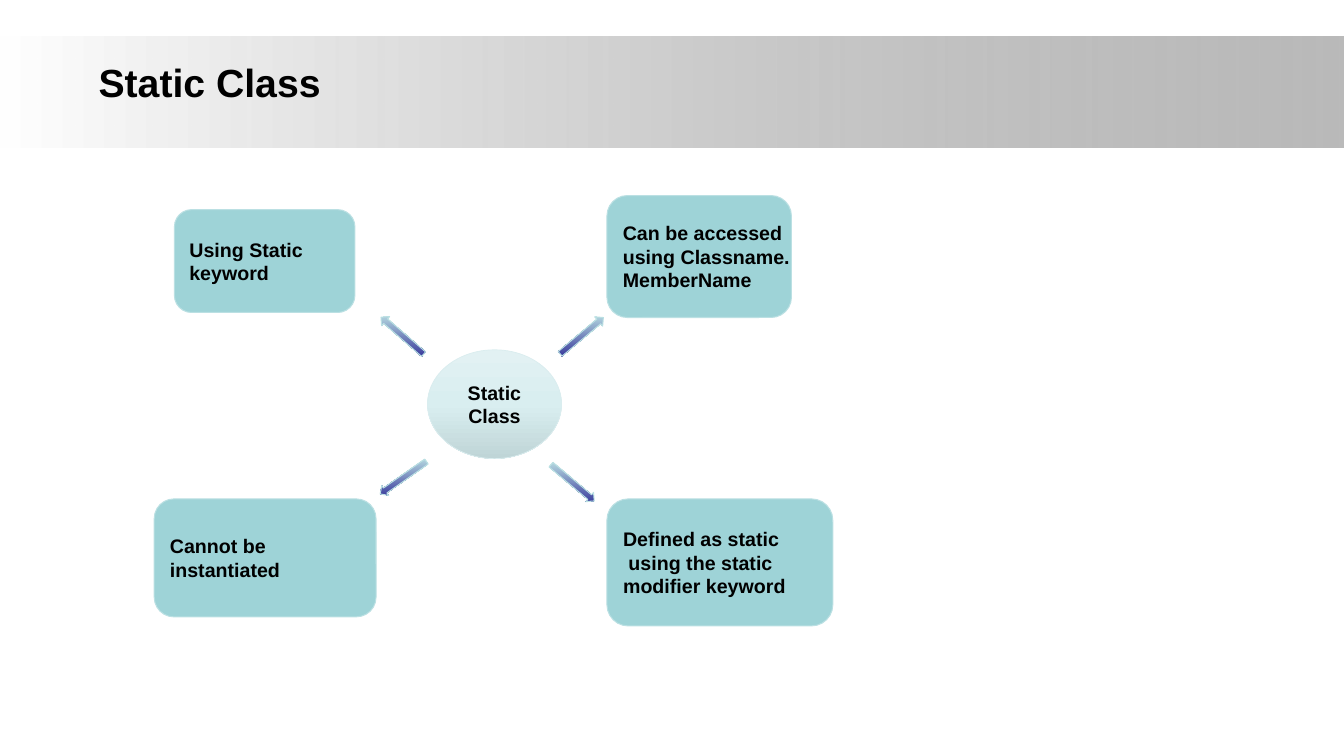
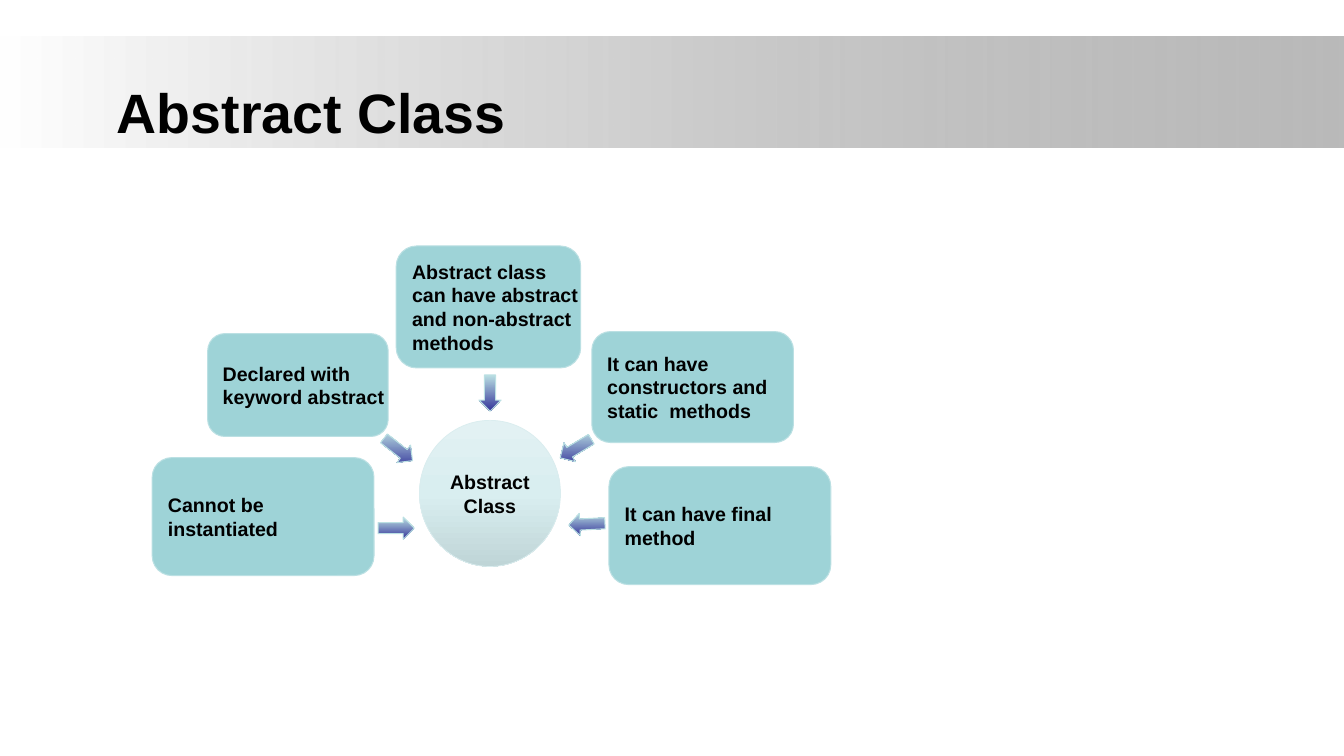
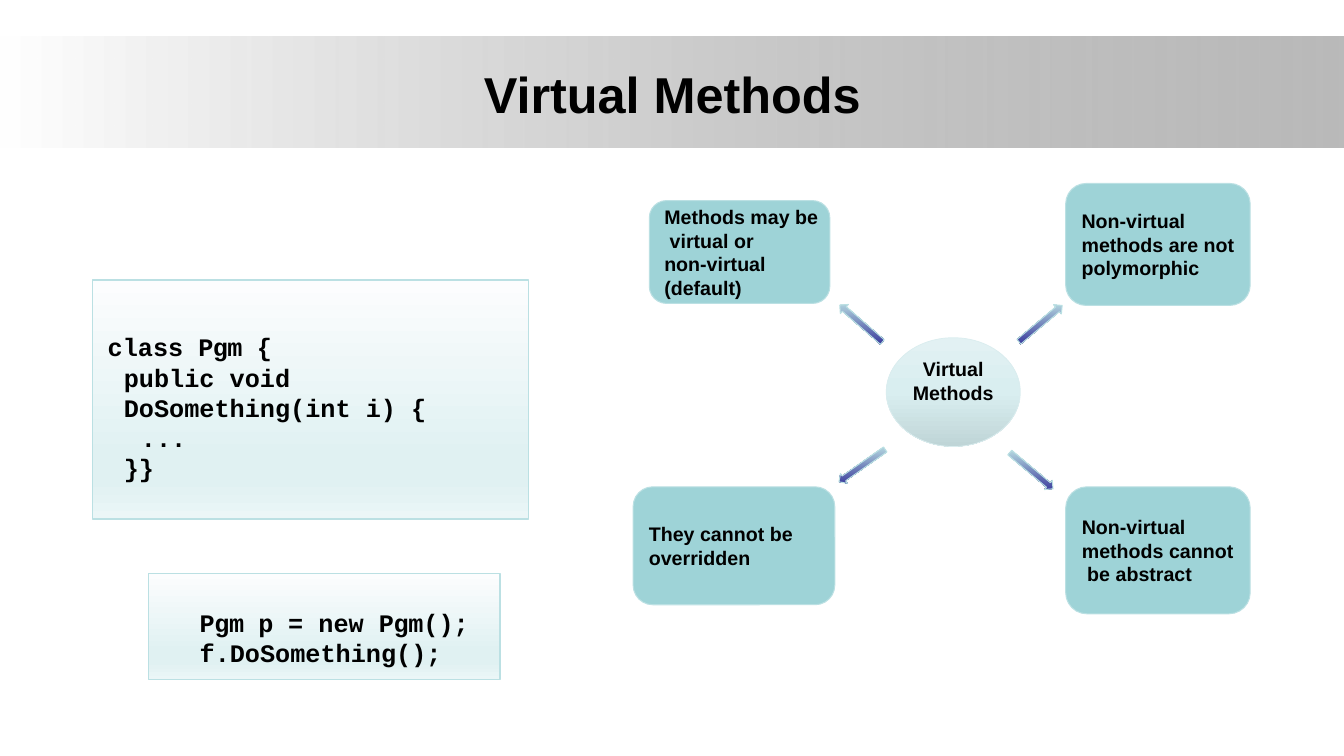
from typing import NamedTuple

from lxml.etree import SubElement
from pptx import Presentation
from pptx.dml.color import RGBColor
from pptx.enum.shapes import MSO_SHAPE
from pptx.enum.text import MSO_ANCHOR, PP_ALIGN
from pptx.oxml.ns import qn
from pptx.util import Inches, Pt

# Colours, gradients and text formats
BLACK = RGBColor(0x00, 0x00, 0x00)
WHITE = RGBColor(0xFF, 0xFF, 0xFF)
GREY = RGBColor(0x80, 0x80, 0x80)
TEAL = RGBColor(0x9E, 0xD3, 0xD7)
PALE_TEAL = RGBColor(0xBB, 0xE0, 0xE3)
INDIGO = RGBColor(0x33, 0x33, 0x99)
HUB_LINE = RGBColor(0xDA, 0xED, 0xEF)
CODE_MIST = RGBColor(0xE0, 0xF1, 0xF2)

# Gradient stops: position %, colour, opacity %
BAND_STOPS = [(0, WHITE, 100), (100, GREY, 54)]
ARROW_STOPS = [(0, PALE_TEAL, 100), (100, INDIGO, 100)]
HUB_STOPS = [(0, RGBColor(0xE2, 0xF1, 0xF3), 100),
             (50, RGBColor(0xD9, 0xEE, 0xF0), 100),
             (100, RGBColor(0xBF, 0xD5, 0xD7), 100)]
CODE_STOPS = [(0, RGBColor(0xFC, 0xFD, 0xFE), 100), (74, CODE_MIST, 100),
              (83, CODE_MIST, 100), (100, RGBColor(0xEB, 0xF6, 0xF7), 100)]

LABEL_FONT = {"name": "Arial", "size": Pt(14), "bold": True}
CODE_FONT = {"name": "Courier New", "size": Pt(18), "bold": True}


class Box(NamedTuple):
    x: float
    y: float
    w: float
    h: float


class Title(NamedTuple):
    text: str
    box: Box
    size: float
    align: PP_ALIGN = PP_ALIGN.CENTER
    spacing: float = 1.0


class Card(NamedTuple):
    box: Box
    lines: list[str]


class Hub(NamedTuple):
    box: Box
    lines: list[str]
    bottom_inset: float = 0.05


class Arrow(NamedTuple):
    x: float
    y: float
    angle: float


class CodeLine(NamedTuple):
    indent: float
    runs: list[tuple[str, int]]  # text, letter spacing in 1/100 pt


# Four thin arrows around a hub, offset from its top-left corner
STAR_ARROWS = [Arrow(-0.3, 0.99, 55), Arrow(1.47, -0.42, 230),
               Arrow(1.38, 1.04, 310), Arrow(-0.31, -0.42, 131)]
INWARD_ARROWS = [Arrow(3.75, 5.13, 0), Arrow(5.64, 5.09, 177),
                 Arrow(3.77, 4.35, 38), Arrow(5.53, 4.34, 149),
                 Arrow(4.68, 3.79, 90)]


# Drawing helpers
def set_gradient(sp, stops: list, angle: int = 90) -> None:
    """Fill with a gradient that keeps its direction when the shape turns."""
    sp.fill.gradient()
    grad = sp._element.spPr.find(qn("a:gradFill"))
    for child in list(grad):
        grad.remove(child)
    grad.set("rotWithShape", "0")
    gs_list = SubElement(grad, qn("a:gsLst"))
    for pos, color, opacity in stops:
        gs = SubElement(gs_list, qn("a:gs"), pos=str(pos * 1000))
        clr = SubElement(gs, qn("a:srgbClr"), val=str(color))
        if opacity < 100:
            SubElement(clr, qn("a:alpha"), val=str(opacity * 1000))
    SubElement(grad, qn("a:lin"), ang=str(angle * 60000), scaled="0")


def add_shape(s, kind: MSO_SHAPE, box: Box, line: RGBColor | None = None,
              width: float = 0.75):
    sp = s.shapes.add_shape(kind, *map(Inches, box))
    sp.shadow.inherit = False
    if line is None:
        sp.line.fill.background()
    else:
        sp.line.color.rgb = line
        sp.line.width = Pt(width)
    return sp


def add_run(p, text: str, font: dict):
    r = p.add_run()
    r.text = text
    r.font.color.rgb = BLACK
    for name, value in font.items():
        setattr(r.font, name, value)
    return r


def add_paragraph(tf, first: bool, align: PP_ALIGN = PP_ALIGN.LEFT):
    p = tf.paragraphs[0] if first else tf.add_paragraph()
    p.alignment = align
    return p


def write_label(tf, lines: list[str], align: PP_ALIGN) -> None:
    tf.word_wrap = False
    tf.vertical_anchor = MSO_ANCHOR.MIDDLE
    for i, text in enumerate(lines):
        add_run(add_paragraph(tf, i == 0, align), text, LABEL_FONT)


# Slide parts
def add_title_slide(prs, title: Title):
    s = prs.slides.add_slide(prs.slide_layouts[6])
    band = add_shape(s, MSO_SHAPE.RECTANGLE, Box(0, 0.36, 13.33, 1.1))
    set_gradient(band, BAND_STOPS, angle=0)
    tf = s.shapes.add_textbox(*map(Inches, title.box)).text_frame
    tf.word_wrap = True
    tf.vertical_anchor = MSO_ANCHOR.MIDDLE
    p = add_paragraph(tf, True, title.align)
    p.line_spacing = title.spacing
    add_run(p, title.text, {"name": "Arial", "size": Pt(title.size), "bold": True})
    return s


def add_cards(s, cards: list[Card]) -> None:
    for card in cards:
        sp = add_shape(s, MSO_SHAPE.ROUNDED_RECTANGLE, card.box, PALE_TEAL)
        sp.fill.solid()
        sp.fill.fore_color.rgb = TEAL
        write_label(sp.text_frame, card.lines, PP_ALIGN.LEFT)


def add_hub(s, hub: Hub) -> None:
    sp = add_shape(s, MSO_SHAPE.OVAL, hub.box, HUB_LINE, 0.5)
    set_gradient(sp, HUB_STOPS)
    write_label(sp.text_frame, hub.lines, PP_ALIGN.CENTER)
    sp.text_frame.margin_bottom = Inches(hub.bottom_inset)


def add_arrow(s, kind: MSO_SHAPE, box: Box, angle: float) -> None:
    sp = add_shape(s, kind, box, PALE_TEAL)
    sp.rotation = angle
    set_gradient(sp, ARROW_STOPS)


def add_star(s, hub: Hub, cards: list[Card]) -> None:
    add_cards(s, cards)
    add_hub(s, hub)
    for a in STAR_ARROWS:
        box = Box(hub.box.x + a.x, hub.box.y + a.y, 0.12, 0.56)
        add_arrow(s, MSO_SHAPE.DOWN_ARROW, box, a.angle)


def add_code(s, box: Box, lines: list[CodeLine], top: float, left: float,
             right: float) -> None:
    sp = add_shape(s, MSO_SHAPE.RECTANGLE, box, PALE_TEAL, 1)
    set_gradient(sp, CODE_STOPS)
    tf = sp.text_frame
    tf.word_wrap = True
    tf.vertical_anchor = MSO_ANCHOR.TOP
    tf.margin_top, tf.margin_left, tf.margin_right = map(Inches, (top, left, right))
    for i, line in enumerate(lines):
        p = add_paragraph(tf, i == 0)
        p._p.get_or_add_pPr().set("marL", str(Inches(line.indent)))
        for text, spc in line.runs:
            r = add_run(p, text, CODE_FONT)
            r._r.get_or_add_rPr().set("spc", str(spc))


# Slides
def static_class(prs) -> None:
    s = add_title_slide(prs, Title("Static Class", Box(0.88, 0.46, 2.66, 0.76), 28,
                                   PP_ALIGN.LEFT, 0.9))
    add_star(s, Hub(Box(4.24, 3.47, 1.33, 1.08), ["Static", "Class"]), [
        Card(Box(1.73, 2.08, 1.79, 1.02), ["Using Static", "keyword"]),
        Card(Box(6.02, 1.94, 1.83, 1.21),
             ["Can be accessed", "using Classname.", "MemberName"]),
        Card(Box(6.02, 4.95, 2.24, 1.26),
             ["Defined as static", " using the static", "modifier keyword"]),
        Card(Box(1.53, 4.95, 2.2, 1.17), ["Cannot be", "instantiated"]),
    ])


def abstract_class(prs) -> None:
    s = add_title_slide(prs, Title("Abstract Class", Box(0.88, 0.69, 4.41, 0.82), 39.6))
    add_cards(s, [
        Card(Box(2.06, 3.31, 1.79, 1.02), ["Declared with", "keyword abstract"]),
        Card(Box(3.93, 2.44, 1.83, 1.21),
             ["Abstract class", "can have abstract", "and non-abstract", "methods"]),
        Card(Box(5.87, 3.29, 2, 1.1),
             ["It can have", "constructors and", "static  methods"]),
        Card(Box(1.51, 4.54, 2.2, 1.17), ["Cannot be", "instantiated"]),
        Card(Box(6.04, 4.63, 2.2, 1.17), ["It can have final", "method"]),
    ])
    add_hub(s, Hub(Box(4.16, 4.17, 1.4, 1.45), ["Abstract", "Class"]))
    for a in INWARD_ARROWS:
        add_arrow(s, MSO_SHAPE.RIGHT_ARROW, Box(a.x, a.y, 0.36, 0.22), a.angle)


def virtual_methods(prs) -> None:
    s = add_title_slide(prs, Title("Virtual Methods", Box(0.67, 0.3, 12, 1.25), 36))
    add_code(s, Box(1.47, 5.69, 3.49, 1.05), [
        CodeLine(0, [("Pgm p ", -30), ("= new ", 0), ("Pgm", -30), ("();", 0)]),
        CodeLine(0, [("f.DoSomething();", 0)]),
    ], top=0.33, left=0.51, right=0)
    add_code(s, Box(0.92, 2.78, 4.32, 2.37), [
        CodeLine(0.05, [("class ", 0), ("Pgm ", -50), ("{", 0)]),
        CodeLine(0.21, [("public void DoSomething(int i) {", 0)]),
        CodeLine(0.38, [("...", 0)]),
        CodeLine(0.21, [("}}", 0)]),
    ], top=0.51, left=0.1, right=0.1)
    add_star(s, Hub(Box(8.79, 3.35, 1.33, 1.08), ["Virtual", "Methods"], 0.28), [
        Card(Box(6.44, 1.99, 1.79, 1.02),
             ["Methods may be", " virtual or", "non-virtual", "(default)"]),
        Card(Box(10.57, 1.82, 1.83, 1.21),
             ["Non-virtual", "methods are not", "polymorphic"]),
        Card(Box(10.57, 4.83, 1.83, 1.26),
             ["Non-virtual", "methods cannot", " be abstract"]),
        Card(Box(6.28, 4.83, 2, 1.17), ["They cannot be", "overridden"]),
    ])


def main() -> None:
    prs = Presentation()
    prs.slide_width, prs.slide_height = Inches(13.33), Inches(7.5)
    for build in (static_class, abstract_class, virtual_methods):
        build(prs)
    prs.save("out.pptx")


if __name__ == "__main__":
    main()
